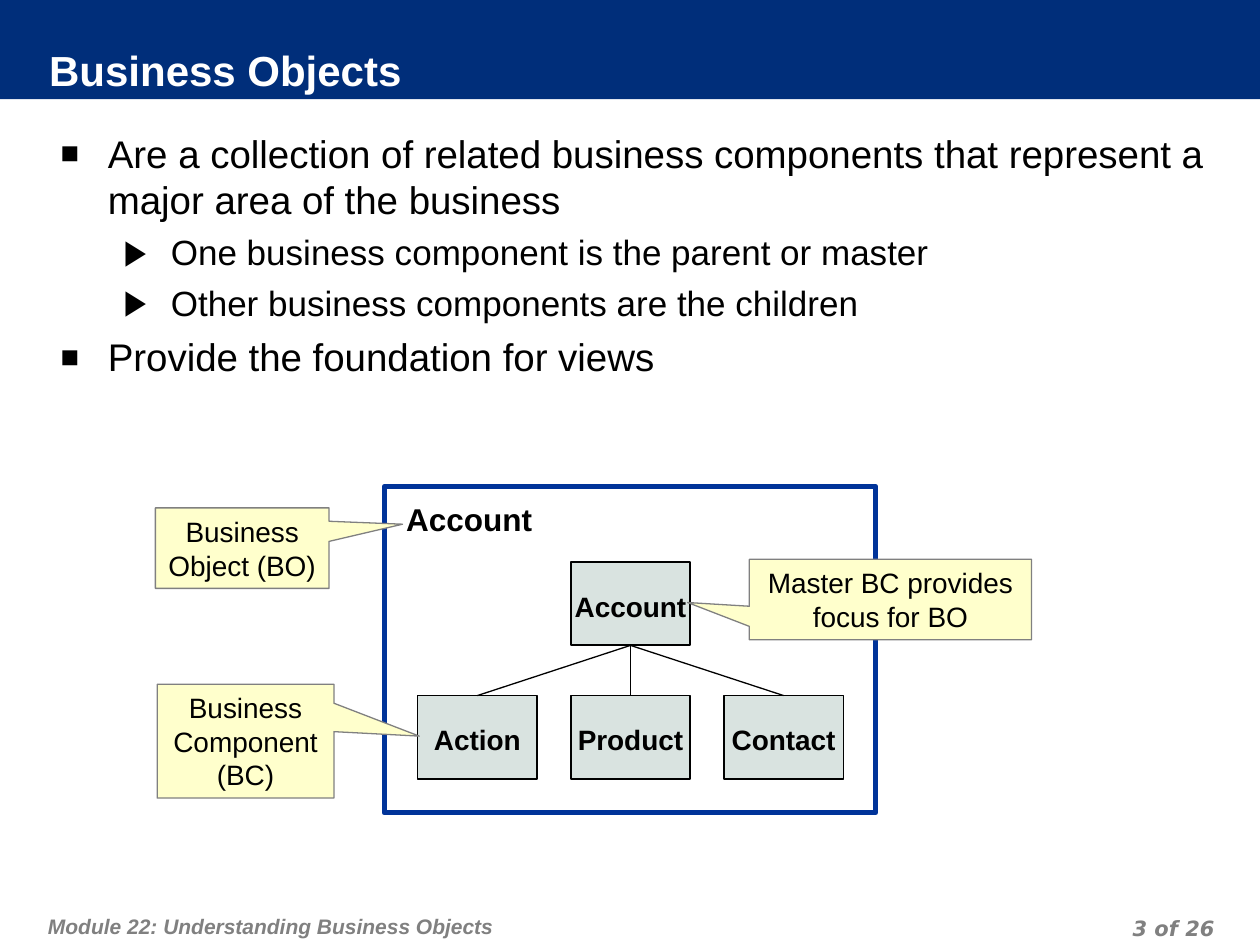
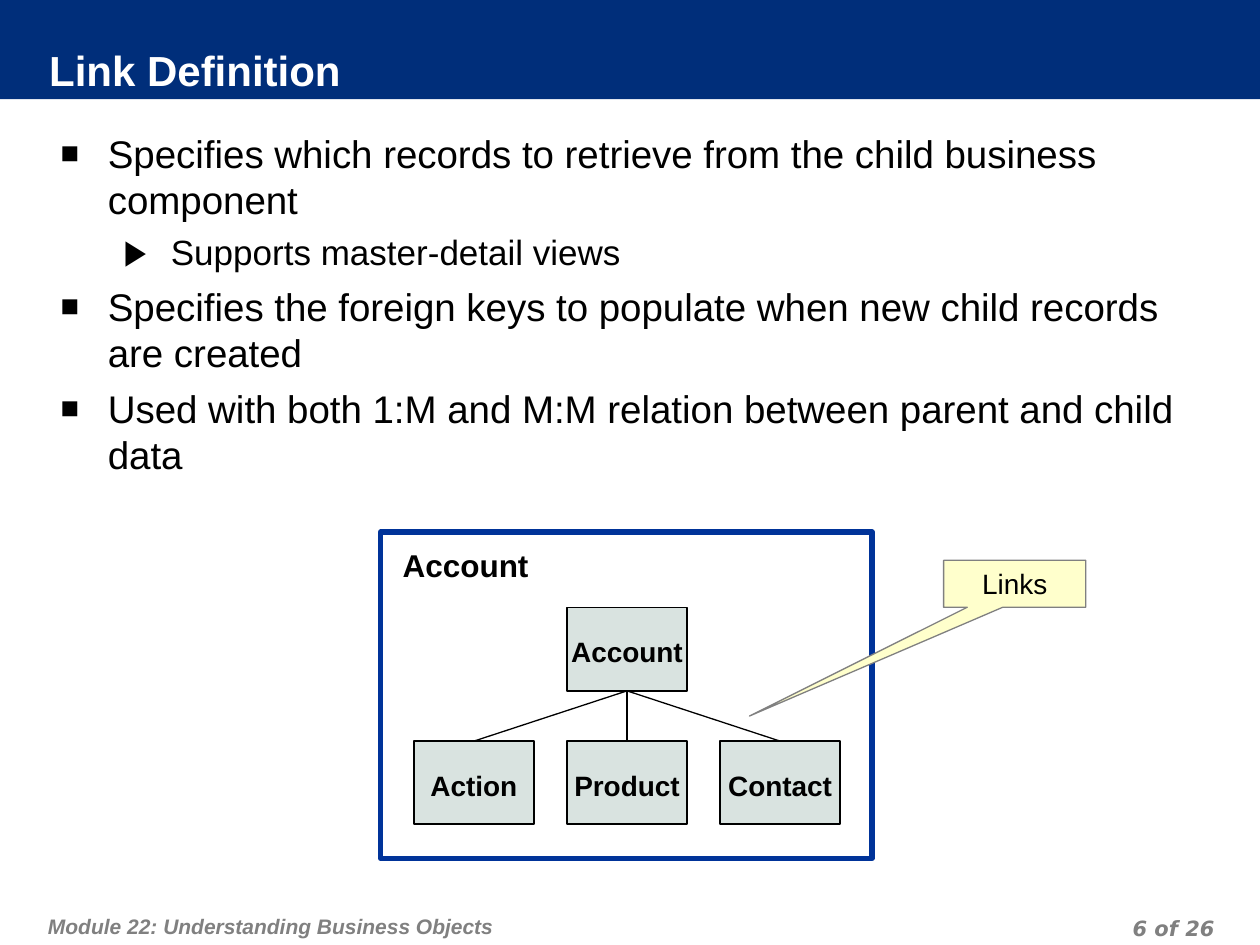
from lxml import etree
from pptx import Presentation
from pptx.dml.color import RGBColor
from pptx.enum.shapes import MSO_CONNECTOR, MSO_SHAPE
from pptx.enum.text import MSO_ANCHOR, MSO_AUTO_SIZE, PP_ALIGN
from pptx.oxml.ns import qn
from pptx.util import Pt

# Colours
NAVY = RGBColor(0x00, 0x2E, 0x7A)
BLUE = RGBColor(0x00, 0x33, 0x99)
SAGE = RGBColor(0xD9, 0xE3, 0xE0)
CREAM = RGBColor(0xFF, 0xFF, 0xCC)
GRAY = RGBColor(0x80, 0x80, 0x80)
BLACK = RGBColor(0, 0, 0)
WHITE = RGBColor(0xFF, 0xFF, 0xFF)

# Text frame formats
PLAIN = {"word_wrap": True, "auto_size": MSO_AUTO_SIZE.NONE,
         "margin_left": Pt(7.2), "margin_top": Pt(3.6),
         "margin_right": Pt(7.2), "margin_bottom": Pt(3.6)}
CENTRED = {**PLAIN, "vertical_anchor": MSO_ANCHOR.MIDDLE}
TITLE = {**CENTRED, "margin_left": 0, "margin_top": 0, "margin_right": Pt(3.6)}
BODY = {**PLAIN, "margin_top": Pt(7.2), "vertical_anchor": MSO_ANCHOR.TOP}
FOOTER = {**PLAIN, "margin_left": Pt(3.6), "margin_top": Pt(7.2), "margin_right": Pt(3.6)}
PAGE_NUMBER = {**FOOTER, "margin_top": 0, "margin_bottom": 0}
CELL = {**CENTRED, "word_wrap": False, "margin_left": Pt(3.6),
        "margin_top": Pt(7.2), "margin_right": Pt(3.6)}

# Paragraph formats
LEFT = {"alignment": PP_ALIGN.LEFT, "space_before": Pt(0)}
CENTER = {**LEFT, "alignment": PP_ALIGN.CENTER}
FIXED_LEFT = {**LEFT, "line_spacing": Pt(18)}
FIXED_CENTER = {**CENTER, "line_spacing": Pt(18)}
FIXED_RIGHT = {**FIXED_LEFT, "alignment": PP_ALIGN.RIGHT}

# Font formats
TITLE_FONT = {"name": "Arial", "size": Pt(24), "bold": True}
LABEL_FONT = {"name": "Arial", "size": Pt(18), "bold": True}
CELL_FONT = {"name": "Arial", "size": Pt(16), "bold": True}
CALLOUT_FONT = {"name": "Arial", "size": Pt(16)}
FOOTER_FONT = {"name": "Arial", "size": Pt(12), "bold": True, "italic": True}
NUMBER_FONT = {**FOOTER_FONT, "name": "DejaVu Sans"}

# List levels: indent, space before, text size, bullet, bullet size in percent
LEVELS = [(27, 5.5, 22, "■", 80), (63, 5, 20, "▶", 100)]

# Diagram cells: name, left and top inside the frame
CELL_STEP = 87.5
CELLS = [("Account", 106.5, 43.2)]
CELLS += [(name, 19 + CELL_STEP * i, 119.5)
          for i, name in enumerate(["Action", "Product", "Contact"])]

SLIDES = [
    {"title": "Business Objects", "number": "3 of 26", "frame": (219.6, 278),
     "points": [
         (0, "Are a collection of related business components that represent "
             "a major area of the business"),
         (1, "One business component is the parent or master"),
         (1, "Other business components are the children"),
         (0, "Provide the foundation for views")],
     "callouts": [
         ("Business Object (BO)", (88.8, 290.2, 99.2, 46), (0.924, -0.297)),
         ("Business Component (BC)", (89.8, 391, 101, 65), (0.983, -0.044)),
         ("Master BC provides focus for BO", (428.2, 319.6, 161.2, 46), (-0.719, 0.037))]},
    {"title": "Link Definition", "number": "6 of 26", "frame": (217.6, 304),
     "points": [
         (0, "Specifies which records to retrieve from the child business component"),
         (1, "Supports master-detail views"),
         (0, "Specifies the foreign keys to populate when new child records are created"),
         (0, "Used with both 1:M and M:M relation between parent and child data")],
     "callouts": [("Links", (539.2, 320.2, 81.2, 26.8), (-1.866, 2.821))]},
]


def write(box, text, frame_format, para_format, font_format, color, new=False):
    frame = box.text_frame
    para = frame.add_paragraph() if new else frame.paragraphs[0]
    span = para.add_run()
    span.text = text
    for target, values in ((frame, frame_format), (para, para_format),
                           (span.font, font_format)):
        for name, value in values.items():
            setattr(target, name, value)
    span.font.color.rgb = color
    return para


def draw(page, kind, place, fill, line, width):
    shape = page.shapes.add_shape(kind, *map(Pt, place))
    shape.shadow.inherit = False
    for part, color in ((shape.fill, fill), (shape.line.fill, line)):
        if color is None:
            part.background()
        else:
            part.solid()
            part.fore_color.rgb = color
    if line is not None:
        shape.line.width = Pt(width)
    return shape


deck = Presentation()
deck.slide_width, deck.slide_height = Pt(720), Pt(540)

for content in SLIDES:
    page = deck.slides.add_slide(deck.slide_layouts[1])
    title, body = page.placeholders

    # Title band, placed behind the title
    band = draw(page, MSO_SHAPE.RECTANGLE, (0, 0, 720, 56.7), NAVY, None, 0)
    title._element.addprevious(band._element)
    for box, place in ((title, (28.1, 27.4, 660.2, 28.8)), (body, (27.4, 67, 669.6, 445))):
        box.left, box.top, box.width, box.height = map(Pt, place)
    title.fill.solid()
    title.fill.fore_color.rgb = NAVY
    write(title, content["title"], TITLE, LEFT, TITLE_FONT, WHITE)

    # Footer and page number
    footer = page.shapes.add_textbox(Pt(23.8), Pt(511.2), Pt(445), Pt(28.8))
    write(footer, "Module 22: Understanding Business Objects",
          FOOTER, FIXED_LEFT, FOOTER_FONT, GRAY)
    number = page.shapes.add_textbox(Pt(530), Pt(519.8), Pt(167.7), Pt(18))
    write(number, content["number"], PAGE_NUMBER, FIXED_RIGHT, NUMBER_FONT, GRAY)

    # Bulleted list
    for i, (level, text) in enumerate(content["points"]):
        indent, gap, size, bullet, percent = LEVELS[level]
        para = write(body, text, BODY,
                     {**LEFT, "level": level, "space_before": Pt(gap if i else 0)},
                     {"name": "Arial", "size": Pt(size)}, BLACK, new=i > 0)
        props = para._p.get_or_add_pPr()
        props.set("marL", str(Pt(indent)))
        props.set("indent", str(Pt(-27)))
        color = etree.SubElement(props, qn("a:buClr"))
        etree.SubElement(color, qn("a:srgbClr"), val=str(BLACK))
        etree.SubElement(props, qn("a:buSzPct"), val=str(percent * 1000))
        etree.SubElement(props, qn("a:buChar"), char=bullet)

    # Business object frame and its components
    left, top = content["frame"]
    draw(page, MSO_SHAPE.RECTANGLE, (left, top, 280.8, 186.5), None, BLUE, 3)
    components = []
    for name, x, y in CELLS:
        cell = draw(page, MSO_SHAPE.RECTANGLE, (left + x, top + y, 68.4, 47.6), SAGE, BLACK, 1)
        write(cell, name, CELL, FIXED_CENTER, CELL_FONT, BLACK)
        components.append(cell)

    # Links from the parent to its children
    parent, *children = components
    for child in children:
        link = page.shapes.add_connector(MSO_CONNECTOR.STRAIGHT, 0, 0, 0, 0)
        link.begin_connect(parent, 2)
        link.end_connect(child, 0)
        link.line.color.rgb = BLACK
        link.line.width = Pt(0.75)
        etree.SubElement(link._element.spPr, qn("a:effectLst"))

    label = page.shapes.add_textbox(Pt(left + 5.4), Pt(top + 4.3), Pt(122.4), Pt(28.8))
    write(label, "Account", PLAIN, LEFT, LABEL_FONT, BLACK)

    # Callouts
    for text, place, tip in content["callouts"]:
        callout = draw(page, MSO_SHAPE.RECTANGULAR_CALLOUT, place, CREAM, GRAY, 0.75)
        callout.adjustments[0], callout.adjustments[1] = tip
        write(callout, text, CENTRED, CENTER, CALLOUT_FONT, BLACK)

deck.save("out.pptx")
